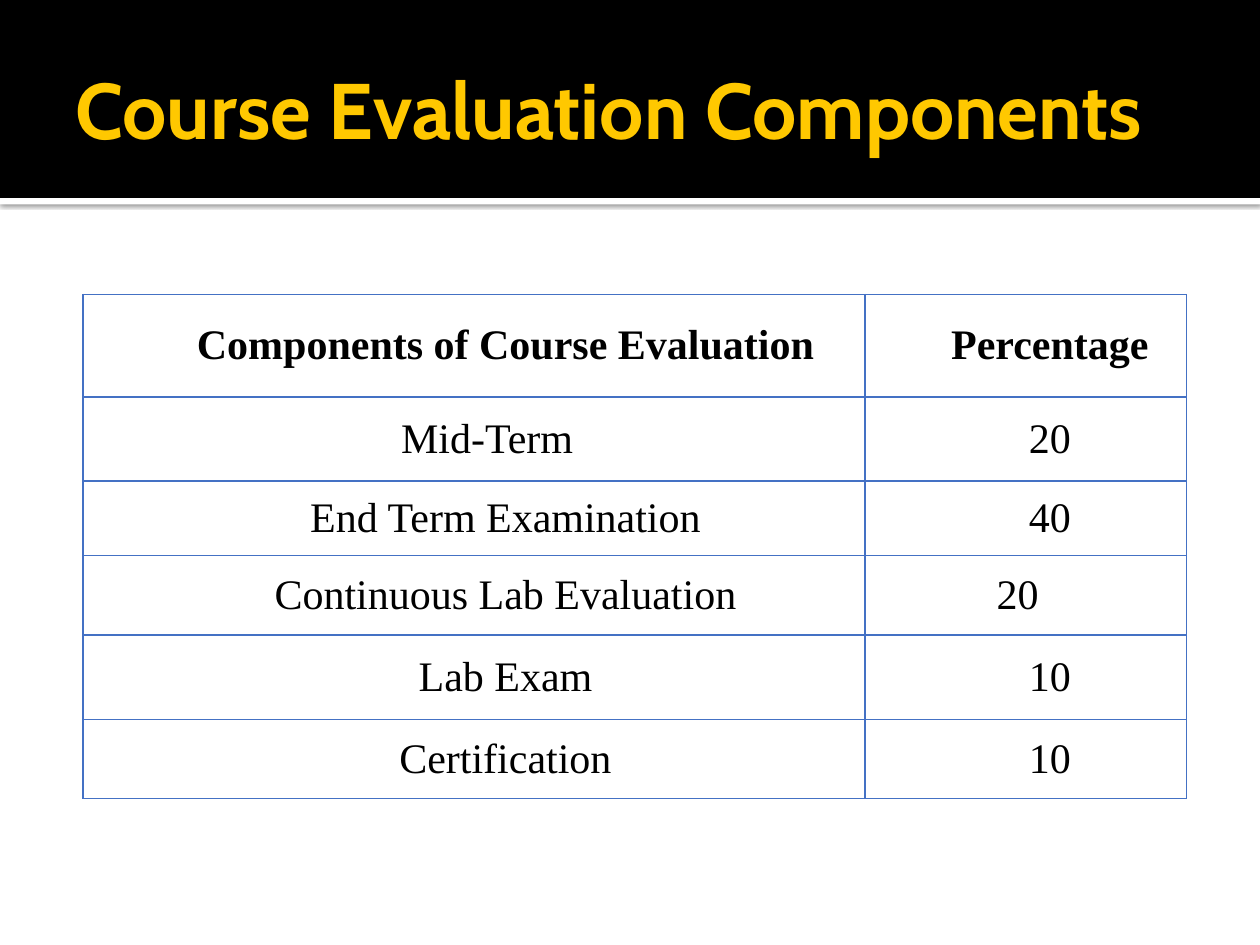
from lxml import etree
from pptx import Presentation
from pptx.dml.color import RGBColor
from pptx.enum.shapes import MSO_SHAPE
from pptx.enum.text import MSO_ANCHOR, MSO_AUTO_SIZE, PP_ALIGN
from pptx.oxml import parse_xml
from pptx.oxml.ns import nsdecls, qn
from pptx.util import Cm, Pt

COLORS = {
    "band": "000000",
    "strip": "FFFFFF",
    "title": "FFC800",
    "text": "000000",
    "border": "4471C4",
}
WIDTH, HEIGHT = 25.4, 19.05
BAND_HEIGHT = 3.99
COLUMN_WIDTHS = (15.77, 6.48)
ROW_HEIGHTS = (2.06, 1.7, 1.5, 1.6, 1.7, 1.6)
LABEL_INDENT, VALUE_INDENT = 1.27, 0.97

# label, value, label indent, value indent, value alignment
ROWS = (
    ("Components of Course Evaluation", "Percentage", LABEL_INDENT, VALUE_INDENT, PP_ALIGN.CENTER),
    ("Mid-Term", "20", 0.53, VALUE_INDENT, PP_ALIGN.CENTER),
    ("End Term Examination", "40", LABEL_INDENT, VALUE_INDENT, PP_ALIGN.CENTER),
    ("Continuous Lab Evaluation", "20", LABEL_INDENT, 2.65, PP_ALIGN.LEFT),
    ("Lab Exam", "10", LABEL_INDENT, VALUE_INDENT, PP_ALIGN.CENTER),
    ("Certification", "10", LABEL_INDENT, VALUE_INDENT, PP_ALIGN.CENTER),
)


def rgb(name):
    return RGBColor.from_string(COLORS[name])


def format_run(run, font, size, color, bold):
    run.font.name = font
    run.font.size = Pt(size)
    run.font.bold = bold
    run.font.color.rgb = rgb(color)


def add_bar(slide, top, height, color):
    shape = slide.shapes.add_shape(MSO_SHAPE.RECTANGLE, 0, Cm(top), Cm(WIDTH), Cm(height))
    shape.shadow.inherit = False
    shape.fill.solid()
    shape.fill.fore_color.rgb = rgb(color)
    shape.line.fill.background()
    return shape


def add_soft_shadow(shape):
    effects = shape._element.spPr.find(qn("a:effectLst"))
    effects.append(parse_xml(
        f'<a:outerShdw {nsdecls("a")} blurRad="{Pt(2.5)}" dist="{Pt(0.8)}" dir="5400000" '
        'algn="t" rotWithShape="0"><a:srgbClr val="000000"><a:alpha val="60000"/>'
        "</a:srgbClr></a:outerShdw>"))


def set_title(slide, text):
    title = slide.shapes.title
    title.left, title.top, title.width, title.height = Cm(1.27), Cm(0.43), Cm(22.86), Cm(3.48)
    frame = title.text_frame
    frame.text = text
    frame.word_wrap = True
    frame.auto_size = MSO_AUTO_SIZE.NONE
    frame.vertical_anchor = MSO_ANCHOR.MIDDLE
    frame.margin_left = Cm(0.25)
    frame.margin_right = frame.margin_top = frame.margin_bottom = Cm(0.13)
    paragraph = frame.paragraphs[0]
    paragraph.alignment = PP_ALIGN.LEFT
    format_run(paragraph.runs[0], "Cabin", 45, "title", True)
    # Bring the title in front of the band
    slide.shapes._spTree.append(title._element)


def set_borders(cell):
    properties = cell._tc.get_or_add_tcPr()
    for position, side in enumerate(("lnL", "lnR", "lnT", "lnB")):
        line = parse_xml(
            f'<a:{side} {nsdecls("a")} w="{Pt(1)}"><a:solidFill>'
            f'<a:srgbClr val="{COLORS["border"]}"/></a:solidFill></a:{side}>')
        properties.insert(position, line)


def fill_cell(cell, text, indent, alignment, bold):
    cell.fill.background()
    cell.vertical_anchor = MSO_ANCHOR.MIDDLE
    cell.margin_left = cell.margin_right = cell.margin_top = cell.margin_bottom = 0
    set_borders(cell)
    cell.text_frame.text = text
    paragraph = cell.text_frame.paragraphs[0]
    paragraph.alignment = alignment
    paragraph._p.get_or_add_pPr().set("marL", str(Cm(indent)))
    format_run(paragraph.runs[0], "Times New Roman", 24, "text", bold)


def add_evaluation_table(slide):
    frame = slide.shapes.add_table(
        len(ROWS), len(COLUMN_WIDTHS), Cm(1.67), Cm(5.94),
        Cm(sum(COLUMN_WIDTHS)), Cm(sum(ROW_HEIGHTS)))
    table = frame.table
    table.horz_banding = False
    for column, width in zip(table.columns, COLUMN_WIDTHS):
        column.width = Cm(width)
    for index, (label, value, label_indent, value_indent, alignment) in enumerate(ROWS):
        table.rows[index].height = Cm(ROW_HEIGHTS[index])
        is_header = index == 0
        fill_cell(table.cell(index, 0), label, label_indent, PP_ALIGN.CENTER, is_header)
        fill_cell(table.cell(index, 1), value, value_indent, alignment, is_header)


def main():
    presentation = Presentation()
    presentation.slide_width, presentation.slide_height = Cm(WIDTH), Cm(HEIGHT)
    slide = presentation.slides.add_slide(presentation.slide_layouts[5])

    # Header band with a shadowed strip below it
    add_soft_shadow(add_bar(slide, BAND_HEIGHT, 0.13, "strip"))
    add_bar(slide, 0, BAND_HEIGHT, "band")
    set_title(slide, "Course Evaluation Components")

    # Evaluation scheme
    add_evaluation_table(slide)

    presentation.save("out.pptx")


if __name__ == "__main__":
    main()
